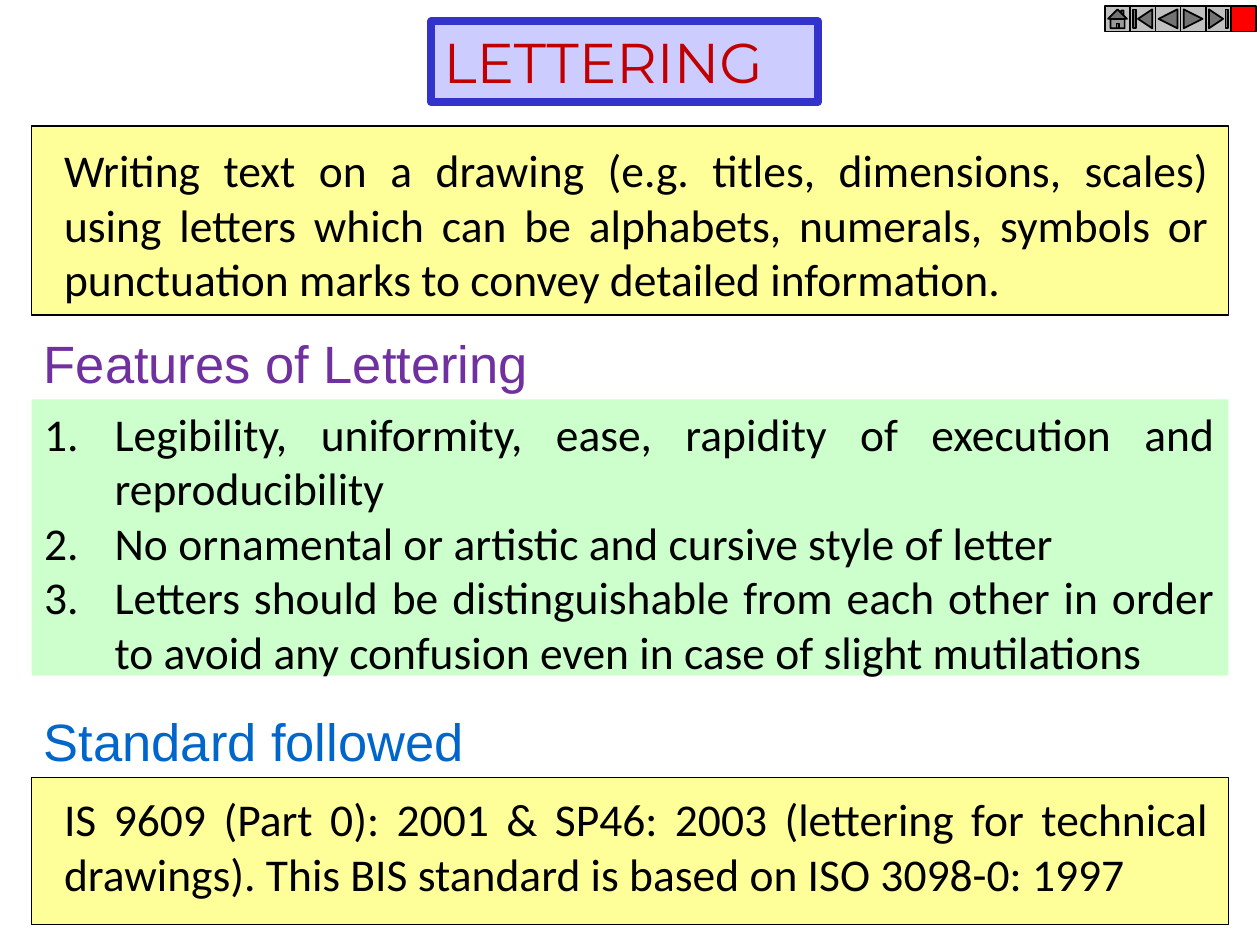
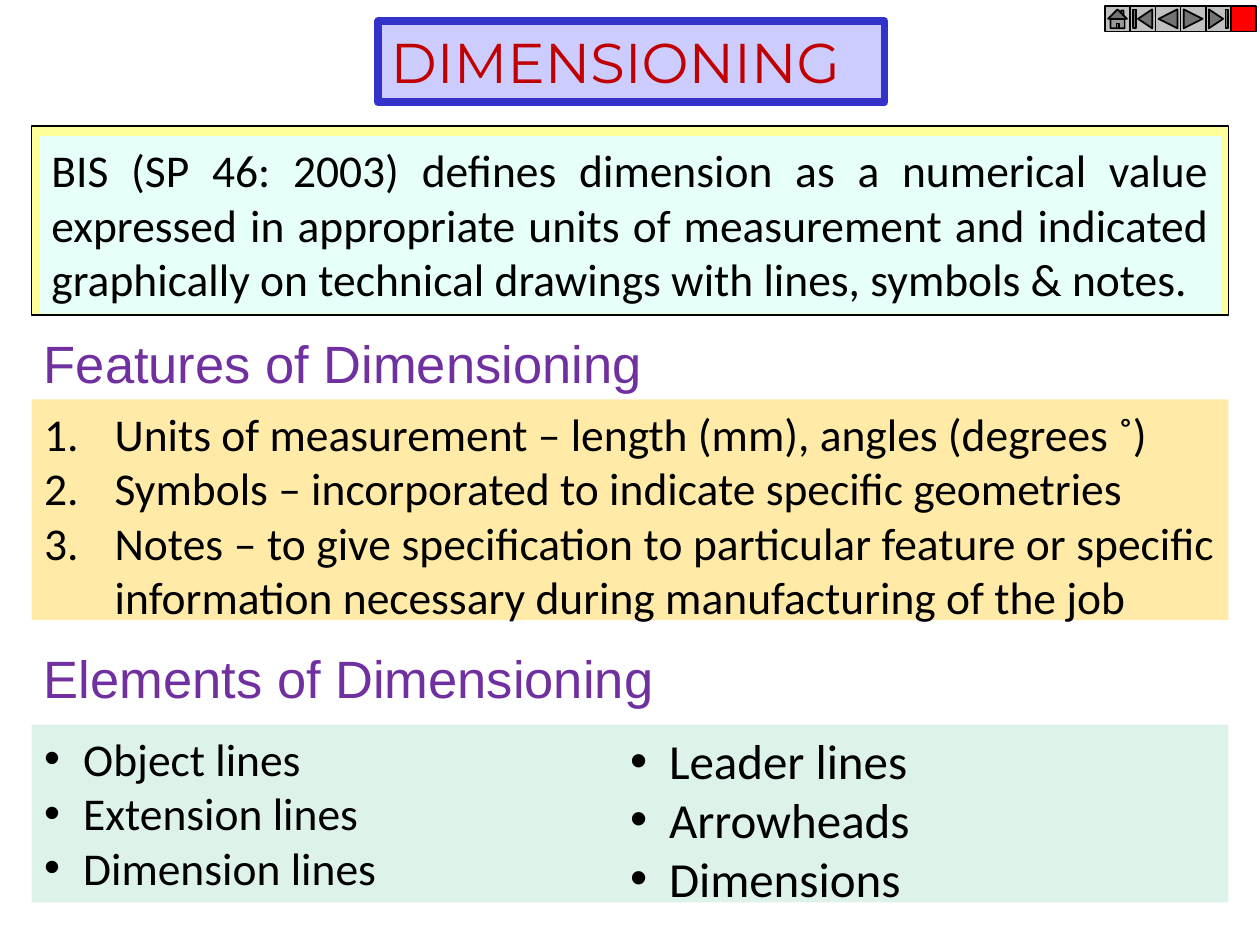
from dataclasses import dataclass
from typing import Optional

from lxml import etree
from pptx import Presentation
from pptx.dml.color import RGBColor
from pptx.enum.shapes import MSO_SHAPE
from pptx.enum.text import MSO_ANCHOR, MSO_AUTO_SIZE, PP_ALIGN
from pptx.oxml.ns import qn
from pptx.util import Emu, Pt

EMU_PER_PX = 9144  # 100 px to the inch
RECT = MSO_SHAPE.RECTANGLE
LEFT, JUSTIFY = PP_ALIGN.LEFT, PP_ALIGN.JUSTIFY
TOP = MSO_ANCHOR.TOP
FIXED, GROW = MSO_AUTO_SIZE.NONE, MSO_AUTO_SIZE.SHAPE_TO_FIT_TEXT
NAV_BUTTONS = (
    MSO_SHAPE.ACTION_BUTTON_HOME,
    MSO_SHAPE.ACTION_BUTTON_BEGINNING,
    MSO_SHAPE.ACTION_BUTTON_BACK_OR_PREVIOUS,
    MSO_SHAPE.ACTION_BUTTON_FORWARD_OR_NEXT,
    MSO_SHAPE.ACTION_BUTTON_END,
    MSO_SHAPE.ACTION_BUTTON_CUSTOM,
)


@dataclass(frozen=True)
class Style:
    font: str
    size: int
    color: str


@dataclass(frozen=True)
class Theme:
    title: Style = Style("Montserrat", 32, "C00000")
    heading: Style = Style("Arial", 30, "7030A0")
    heading_blue: Style = Style("Arial", 30, "0066CC")
    body: Style = Style("Calibri", 26, "000000")
    body_large: Style = Style("Calibri", 28, "000000")
    title_fill: str = "CCCCFF"
    title_line: str = "3333CC"
    outline: str = "000000"
    yellow: str = "FFFF99"
    aqua: str = "E7FFF9"
    green: str = "CCFFCC"
    amber: str = "FFEAA7"
    mint: str = "DDF3EA"
    button: str = "C0C0C0"
    button_last: str = "FF0000"


THEME = Theme()


@dataclass(frozen=True)
class Box:
    left: int
    top: int
    width: int
    height: int


@dataclass(frozen=True)
class Panel:
    """A framed yellow box with a justified statement inside."""
    frame: Box
    inner: Box
    text: str
    indent: int = 10
    inner_fill: Optional[str] = None


@dataclass(frozen=True)
class Heading:
    text: str
    box: Box
    style: Style = THEME.heading


@dataclass(frozen=True)
class Item:
    text: str
    style: Style = THEME.body


@dataclass(frozen=True)
class ItemList:
    box: Box
    fill: str
    items: tuple[Item, ...]
    numbered: bool = True
    columns: int = 1


@dataclass(frozen=True)
class Topic:
    layout: int
    title: str
    title_box: Box
    panels: tuple[Panel, ...]
    headings: tuple[Heading, ...]
    lists: tuple[ItemList, ...]


def px(length: int) -> Emu:
    return Emu(length * EMU_PER_PX)


def place(shape, box: Box) -> None:
    shape.left, shape.top = px(box.left), px(box.top)
    shape.width, shape.height = px(box.width), px(box.height)


def paint(shape, fill: str, line: Optional[str] = None, weight: float = 0.75) -> None:
    shape.shadow.inherit = False
    shape.fill.solid()
    shape.fill.fore_color.rgb = RGBColor.from_string(fill)
    if line:
        shape.line.color.rgb = RGBColor.from_string(line)
        shape.line.width = Pt(weight)
    else:
        shape.line.fill.background()


def add_shape(slide, kind, box: Box, fill: str, line: str, weight: float = 0.75) -> None:
    shape = slide.shapes.add_shape(
        kind, px(box.left), px(box.top), px(box.width), px(box.height))
    paint(shape, fill, line, weight)


def add_text_box(slide, box: Box):
    return slide.shapes.add_textbox(
        px(box.left), px(box.top), px(box.width), px(box.height))


def prepare_frame(shape, auto_size=FIXED):
    frame = shape.text_frame
    frame.word_wrap = True
    frame.auto_size = auto_size
    frame.vertical_anchor = TOP
    return frame


def write(paragraph, text: str, style: Style, align=LEFT) -> None:
    paragraph.alignment = align
    paragraph.space_before = Pt(0)
    run = paragraph.add_run()
    run.text = text
    run.font.name = style.font
    run.font.size = Pt(style.size)
    run.font.color.rgb = RGBColor.from_string(style.color)


def set_indent(paragraph, margin: int, first_line: int = 0) -> None:
    properties = paragraph._p.get_or_add_pPr()
    properties.set("marL", str(px(margin)))
    properties.set("indent", str(px(first_line)))


def set_marker(paragraph, numbered: bool) -> None:
    hang = 56 if numbered else 31
    set_indent(paragraph, hang, -hang)
    properties = paragraph._p.get_or_add_pPr()
    if numbered:
        etree.SubElement(properties, qn("a:buAutoNum"), type="arabicPeriod")
    else:
        etree.SubElement(properties, qn("a:buFont"), typeface="Arial")
        etree.SubElement(properties, qn("a:buChar"), char="•")


def draw_title(slide, text: str, box: Box) -> None:
    title = slide.shapes.title
    place(title, box)
    paint(title, THEME.title_fill, THEME.title_line, 4.5)
    write(prepare_frame(title).paragraphs[0], text, THEME.title)


def draw_navigation(slide) -> None:
    size = 20
    for position, kind in enumerate(NAV_BUTTONS):
        is_last = position == len(NAV_BUTTONS) - 1
        fill = THEME.button_last if is_last else THEME.button
        add_shape(slide, kind, Box(877 + position * size, 5, size, size),
                  fill, THEME.outline, 1)


def draw_panel(slide, panel: Panel) -> None:
    add_shape(slide, RECT, panel.frame, THEME.yellow, THEME.outline)
    statement = add_text_box(slide, panel.inner)
    if panel.inner_fill:
        paint(statement, panel.inner_fill)
    paragraph = prepare_frame(statement).paragraphs[0]
    set_indent(paragraph, panel.indent)
    write(paragraph, panel.text, THEME.body, JUSTIFY)


def draw_heading(slide, heading: Heading) -> None:
    frame = prepare_frame(add_text_box(slide, heading.box))
    write(frame.paragraphs[0], heading.text, heading.style)


def draw_list(body, content: ItemList) -> None:
    place(body, content.box)
    paint(body, content.fill)
    frame = prepare_frame(body, GROW)
    if content.columns > 1:
        frame._txBody.bodyPr.set("numCol", str(content.columns))
    for number, item in enumerate(content.items):
        paragraph = frame.add_paragraph() if number else frame.paragraphs[0]
        set_marker(paragraph, content.numbered)
        write(paragraph, item.text, item.style, JUSTIFY)


def draw_topic(deck, topic: Topic) -> None:
    slide = deck.slides.add_slide(deck.slide_layouts[topic.layout])
    draw_title(slide, topic.title, topic.title_box)
    for panel in topic.panels:
        draw_panel(slide, panel)
    draw_navigation(slide)
    for heading in topic.headings:
        draw_heading(slide, heading)
    for index, content in enumerate(topic.lists, start=1):
        draw_list(slide.placeholders[index], content)


# Places shared by both slides
DEFINITION_FRAME = Box(25, 100, 950, 150)
FEATURES_HEADING = Box(25, 258, 520, 61)

LETTERING = Topic(
    layout=1,  # title and content
    title="LETTERING",
    title_box=Box(342, 17, 307, 64),
    panels=(
        Panel(DEFINITION_FRAME, Box(31, 108, 939, 121),
              "Writing text on a drawing (e.g. titles, dimensions, scales) using "
              "letters which can be alphabets, numerals, symbols or punctuation "
              "marks to convey detailed information."),
        Panel(Box(25, 617, 950, 117), Box(31, 623, 939, 98),
              "IS 9609 (Part 0): 2001 & SP46: 2003 (lettering for technical "
              "drawings). This BIS standard is based on ISO 3098-0: 1997"),
    ),
    headings=(
        Heading("Features of Lettering", FEATURES_HEADING),
        Heading("Standard followed", Box(25, 558, 356, 61), THEME.heading_blue),
    ),
    lists=(
        ItemList(Box(25, 317, 950, 229), THEME.green, (
            Item("Legibility, uniformity, ease, rapidity of execution and "
                 "reproducibility"),
            Item("No ornamental or artistic and cursive style of letter"),
            Item("Letters should be distinguishable from each other in order to "
                 "avoid any confusion even in case of slight mutilations"),
        )),
    ),
)

DIMENSIONING = Topic(
    layout=3,  # title and two contents
    title="DIMENSIONING",
    title_box=Box(300, 17, 402, 64),
    panels=(
        Panel(DEFINITION_FRAME, Box(31, 108, 939, 141),
              "BIS (SP 46: 2003) defines dimension as a numerical value expressed "
              "in appropriate units of measurement and indicated graphically on "
              "technical drawings with lines, symbols & notes.",
              indent=0, inner_fill=THEME.aqua),
    ),
    headings=(
        Heading("Features of Dimensioning", FEATURES_HEADING),
        Heading("Elements of Dimensioning", Box(25, 508, 520, 61)),
    ),
    lists=(
        ItemList(Box(25, 317, 950, 185), THEME.amber, (
            Item("Units of measurement – length (mm), angles (degrees ˚)"),
            Item("Symbols – incorporated to indicate specific geometries"),
            Item("Notes – to give specification to particular feature or specific "
                 "information necessary during manufacturing of the job"),
        )),
        ItemList(Box(25, 575, 950, 151), THEME.mint, (
            Item("Object lines"),
            Item("Extension lines"),
            Item("Dimension lines"),
            Item("Leader lines", THEME.body_large),
            Item("Arrowheads", THEME.body_large),
            Item("Dimensions", THEME.body_large),
        ), numbered=False, columns=2),
    ),
)


def main() -> None:
    deck = Presentation()
    deck.slide_width, deck.slide_height = px(1000), px(750)
    for topic in (LETTERING, DIMENSIONING):
        draw_topic(deck, topic)
    deck.save("out.pptx")


if __name__ == "__main__":
    main()
